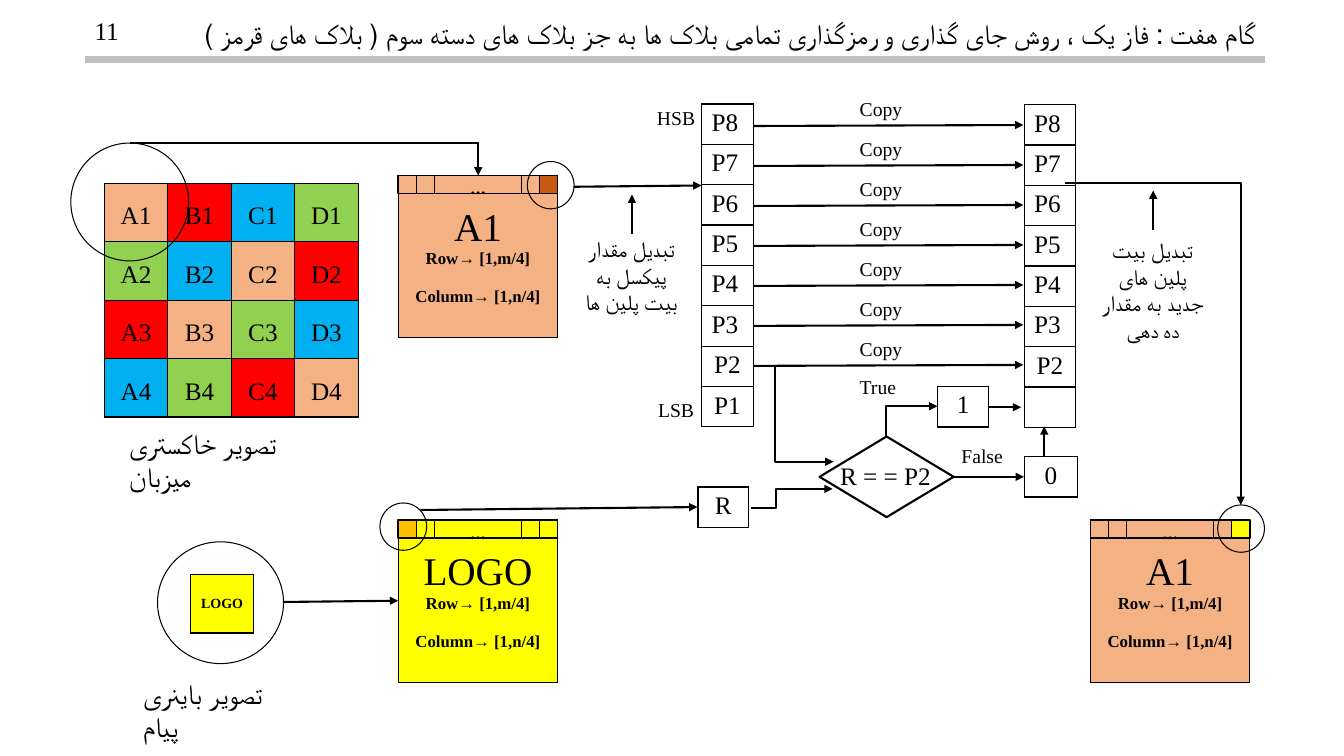
from lxml import etree
from pptx import Presentation
from pptx import util as u
from pptx.dml import color
from pptx.enum import shapes, text
from pptx.oxml import ns

COLORS = {
    "ink": "000000", "white": "FFFFFF", "rule": "BFBFBF", "peach": "F4B183",
    "red": "FF0000", "blue": "00B0F0", "green": "92D050", "yellow": "FFFF00",
    "gold": "FFC000", "brown": "C55A11",
}
LEFT, CENTER, RIGHT = text.PP_ALIGN.LEFT, text.PP_ALIGN.CENTER, text.PP_ALIGN.RIGHT
SHAPE = shapes.MSO_SHAPE


def rgb(name):
    return color.RGBColor.from_string(COLORS[name])


def sub(parent, tag, **attrs):
    return etree.SubElement(parent, ns.qn(tag), **attrs)


class Board:
    font = "Times New Roman"

    def __init__(self, slide):
        self.slide = slide
        self.shapes = slide.shapes

    def style(self, p, size, align=LEFT, bold=False, font=None):
        p.alignment = align
        p.font.size = u.Pt(size)
        p.font.bold = bold
        p.font.name = font or self.font
        p.font.color.rgb = rgb("ink")

    def paint(self, fill, name):
        if name:
            fill.solid()
            fill.fore_color.rgb = rgb(name)
        else:
            fill.background()

    def title(self, x, y, w, h, words):
        sp = self.shapes.title
        sp.left, sp.top, sp.width, sp.height = map(u.Pt, (x, y, w, h))
        tf = sp.text_frame
        tf.text = words
        tf.word_wrap = True
        tf.auto_size = text.MSO_AUTO_SIZE.SHAPE_TO_FIT_TEXT
        tf.vertical_anchor = text.MSO_ANCHOR.TOP
        p = tf.paragraphs[0]
        self.style(p, 20, RIGHT)
        p.line_spacing = 1.0
        p._p.get_or_add_pPr().set("rtl", "1")

    def label(self, x, y, w, h, words, size=14, align=LEFT, wrap=True):
        tf = self.shapes.add_textbox(*map(u.Pt, (x, y, w, h))).text_frame
        tf.text = words
        tf.word_wrap = wrap
        tf.auto_size = text.MSO_AUTO_SIZE.SHAPE_TO_FIT_TEXT
        self.style(tf.paragraphs[0], size, align)

    def shape(self, kind, x, y, w, h, fill=None, weight=1.0, words=""):
        sp = self.shapes.add_shape(kind, *map(u.Pt, (x, y, w, h)))
        sp.shadow.inherit = False
        self.paint(sp.fill, fill)
        sp.line.color.rgb = rgb("ink")
        sp.line.width = u.Pt(weight)
        if words:
            tf = sp.text_frame
            tf.text = words
            tf.vertical_anchor = text.MSO_ANCHOR.MIDDLE
            self.style(tf.paragraphs[0], 18, CENTER, font="Roboto")

    def circle(self, x, y, w, h):
        self.shape(SHAPE.OVAL, x, y, w, h, weight=0.75)

    def line(self, x1, y1, x2, y2, ink="ink", weight=1.5, arrow=True, kind="STRAIGHT"):
        cn = self.shapes.add_connector(
            shapes.MSO_CONNECTOR[kind], *map(u.Pt, (x1, y1, x2, y2)))
        cn.line.color.rgb = rgb(ink)
        cn.line.width = u.Pt(weight)
        props = cn._element.spPr
        if arrow:
            sub(props.find(ns.qn("a:ln")), "a:tailEnd", type="triangle")
        sub(props, "a:effectLst")
        return props.find(ns.qn("a:prstGeom"))

    def elbow(self, x1, y1, x2, y2, bend=None):
        geom = self.line(x1, y1, x2, y2, kind="ELBOW")
        if bend is None:
            geom.set("prst", "bentConnector2")
        else:
            guides = geom.get_or_add_avLst()
            sub(guides, "a:gd", name="adj1", fmla=f"val {round(bend * 100000)}")

    def cell(self, cell, words, fill, size=18, align=CENTER, bold=False, spacing=None):
        props = cell._tc.get_or_add_tcPr()
        for side in "LRTB":
            ln = sub(props, f"a:ln{side}", w=str(u.Pt(1)))
            sub(sub(ln, "a:solidFill"), "a:srgbClr", val=COLORS["ink"])
        self.paint(cell.fill, fill)
        cell.text = words
        p = cell.text_frame.paragraphs[0]
        self.style(p, size, align, bold)
        if spacing:
            p.line_spacing = spacing

    def table(self, x, y, w, h, rows, cols):
        frame = self.shapes.add_table(rows, cols, *map(u.Pt, (x, y, w, h)))
        frame.table.first_row = frame.table.horz_banding = False
        return frame.table

    def box(self, x, y, w, h, words, fill=None, **look):
        cell = self.table(x, y, w, h, 1, 1).cell(0, 0)
        self.cell(cell, words, fill, **look)
        return cell

    def block(self, x, y, name, fill, first=None, last=None):
        cell = self.box(x, y, 114, 116, name, fill, size=28)
        cell.vertical_anchor = text.MSO_ANCHOR.MIDDLE
        for words, gap in (("Row→ [1,m/4]", 0), ("Column→ [1,n/4]", 13.8)):
            p = cell.text_frame.add_paragraph()
            p.text = words
            p.space_before = u.Pt(gap)
            self.style(p, 12, CENTER, bold=True)
        strip = ((0, 13, first, ""), (13, 13, None, ""), (26, 62, None, "…"),
                 (88, 13, None, ""), (101, 13, last, ""))
        for dx, w, pixel, words in strip:
            self.shape(SHAPE.RECTANGLE, x + dx, y, w, 13, pixel, words=words)

    def planes(self, x, y, names):
        table = self.table(x, y, 37, 230.4, len(names), 1)
        for i, name in enumerate(names):
            align = LEFT if i < 6 else CENTER
            self.cell(table.cell(i, 0), name, "white", align=align)


def main():
    prs = Presentation()
    prs.slide_width, prs.slide_height = u.Pt(960), u.Pt(540)
    board = Board(prs.slides.add_slide(prs.slide_layouts[5]))

    board.line(60.5, 42.5, 903.6, 42.5, "rule", 4.5, arrow=False)
    board.title(111.6, 7.9, 792.7, 31.7,
                "گام هفت : فاز یک ، روش جای گذاری و رمزگذاری تمامی بلاک ها به جز بلاک های دسته سوم ( بلاک های قرمز )")
    board.label(60.5, 7.2, 31.7, 28.8, "11", 18, wrap=False)

    host = board.table(74.5, 131, 181.4, 167, 4, 4)
    fills = {"P": "peach", "R": "red", "B": "blue", "G": "green"}
    for r, row in enumerate(("PRBG", "GBPR", "RPGB", "BGRP")):
        for c, key in enumerate(row):
            board.cell(host.cell(r, c), f"{'ABCD'[c]}{r + 1}", fills[key], spacing=1.5)
    board.circle(50.6, 102.2, 84.2, 84.2)
    board.label(85, 301, 159.8, 31.7, "تصویر خاکستری میزبان", 20)

    logo = board.box(136.1, 410.4, 45, 41.8, "LOGO", "yellow", size=10, bold=True)
    logo.vertical_anchor = text.MSO_ANCHOR.MIDDLE
    board.circle(112.5, 387, 90, 87)
    board.label(95, 479.5, 123.8, 31.7, "تصویر باینری پیام", 20)

    board.block(284.4, 125.3, "A1", "peach", last="brown")
    board.block(284.4, 371.3, "LOGO", "yellow", first="gold", last="yellow")
    board.block(778.8, 371.3, "A1", "peach", last="yellow")
    for x, y in ((376.7, 115.4), (271.4, 359.3), (869.8, 360.7)):
        board.circle(x, y, 33.4, 33.8)

    for i in range(7):
        y = 90 + 28.56 * i
        board.line(536.4, y, 731, y - 0.7)
        board.label(607, y - 24.5, 47.5, 24.5, "Copy")
    names = [f"P{n}" for n in range(8, 0, -1)]
    board.planes(501.1, 74.3, names)
    board.planes(731.5, 74.7, names[:-1] + [""])

    board.shape(SHAPE.FLOWCHART_DECISION, 585.4, 311.8, 95.8, 57.6, weight=1.5)
    board.label(591.1, 325.4, 82.8, 28.8, "R = = P2", 18, CENTER)
    board.box(498.6, 347.8, 36, 28.8, "R")
    board.box(669.6, 275.8, 36.7, 29.2, "1")
    board.box(731.5, 326.2, 38.2, 28.8, "0")

    for x, y, words in ((462.2, 72, "HSB"), (463, 280.8, "LSB"),
                        (607, 264.2, "True"), (679.7, 313.9, "False")):
        board.label(x, y, 47.5, 24.5, words)
    board.label(408.2, 164.2, 85.7, 65.5, "تبدیل مقدار پیکسل به بیت پلین ها", 16, CENTER)
    board.label(779.8, 164.9, 87.1, 85, "تبدیل بیت پلین های جدید به مقدار ده دهی", 16, CENTER)

    board.line(92.9, 102.2, 342, 102.2, arrow=False)
    for ends in ((341.6, 102.2, 341.6, 125.3), (409.7, 133.4, 501.1, 132.5),
                 (451.4, 167, 451.4, 139), (823.7, 164.2, 823.7, 136.1),
                 (300.2, 364.3, 498.2, 362.2), (202.3, 430, 284.4, 429.1),
                 (681.1, 340.6, 731.5, 340.6), (706.3, 290.9, 729.4, 290.9),
                 (745.9, 325.4, 745.9, 304.6)):
        board.line(*ends)
    board.elbow(761, 131, 886.3, 360.7)
    board.elbow(553.7, 262.1, 595.4, 329.8, 0)
    board.elbow(536.4, 362.9, 594.7, 349.2, 0.31)
    board.elbow(632.9, 311.8, 669.6, 290.2, 0)

    prs.save("out.pptx")


if __name__ == "__main__":
    main()
